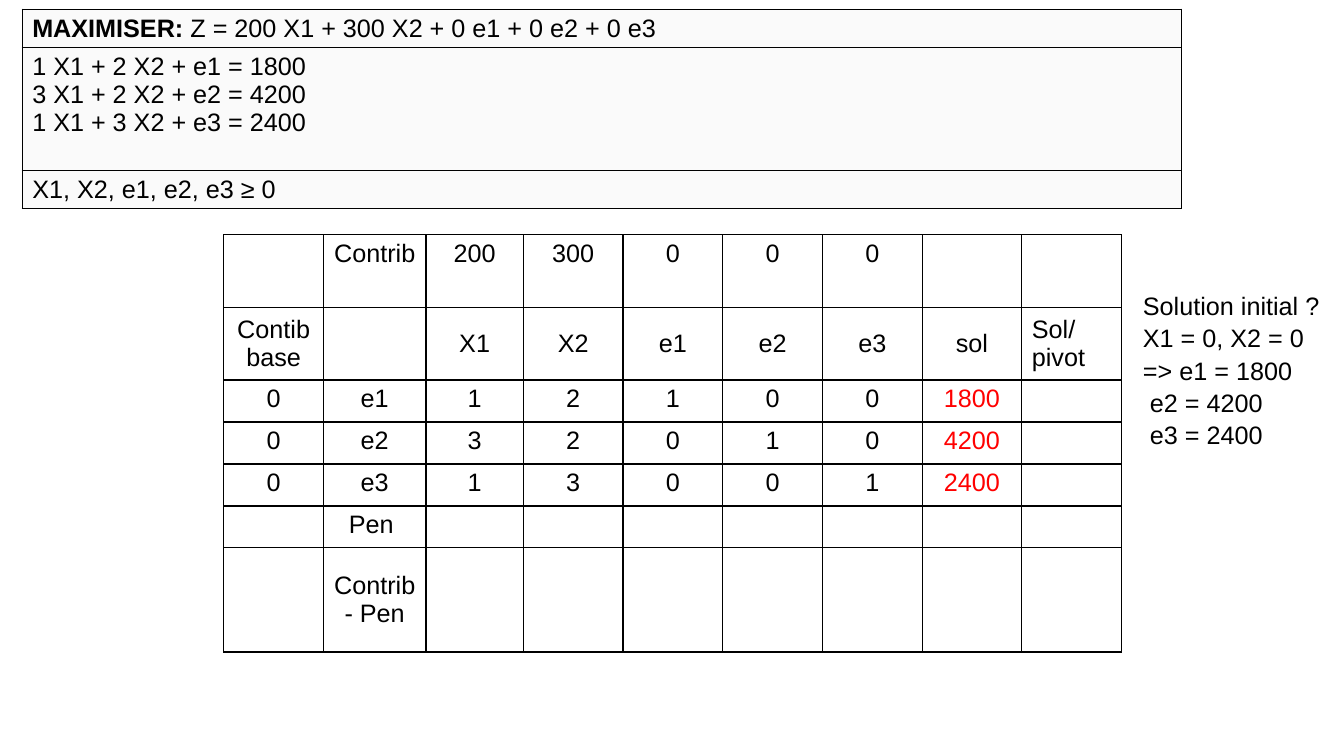
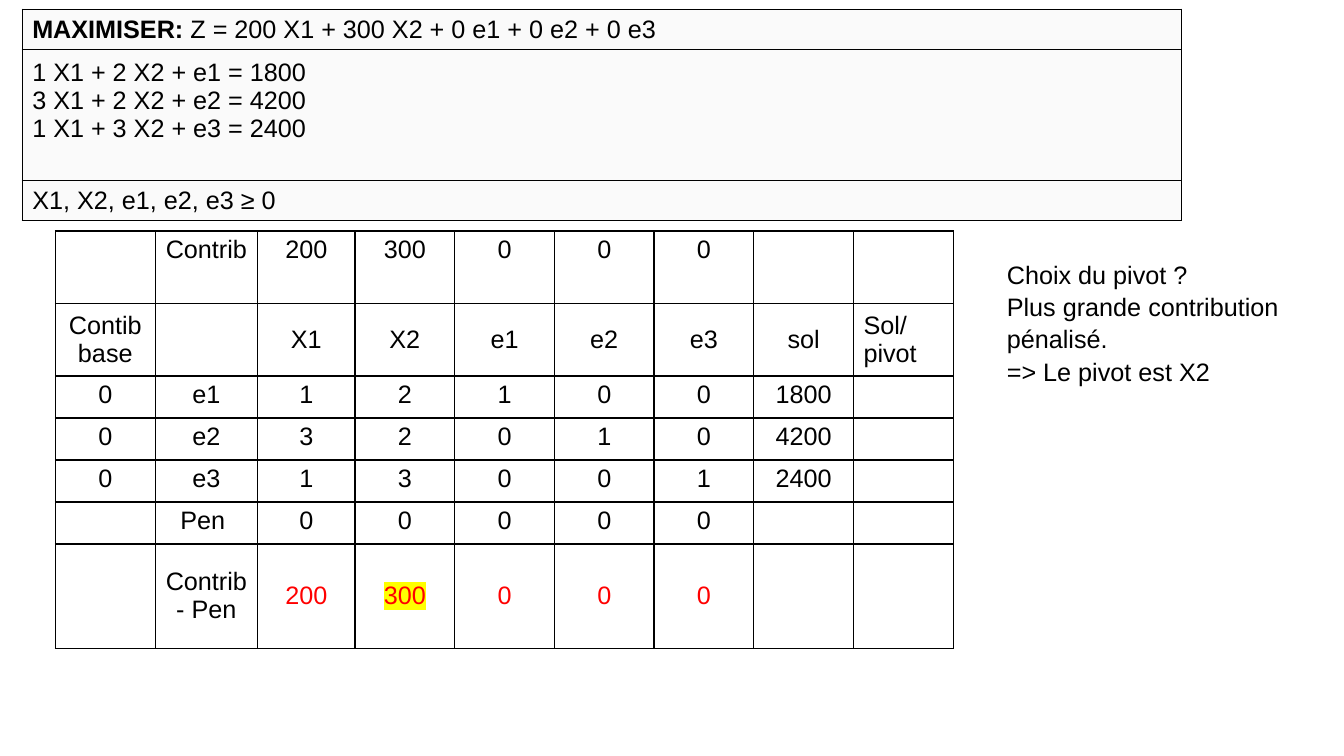
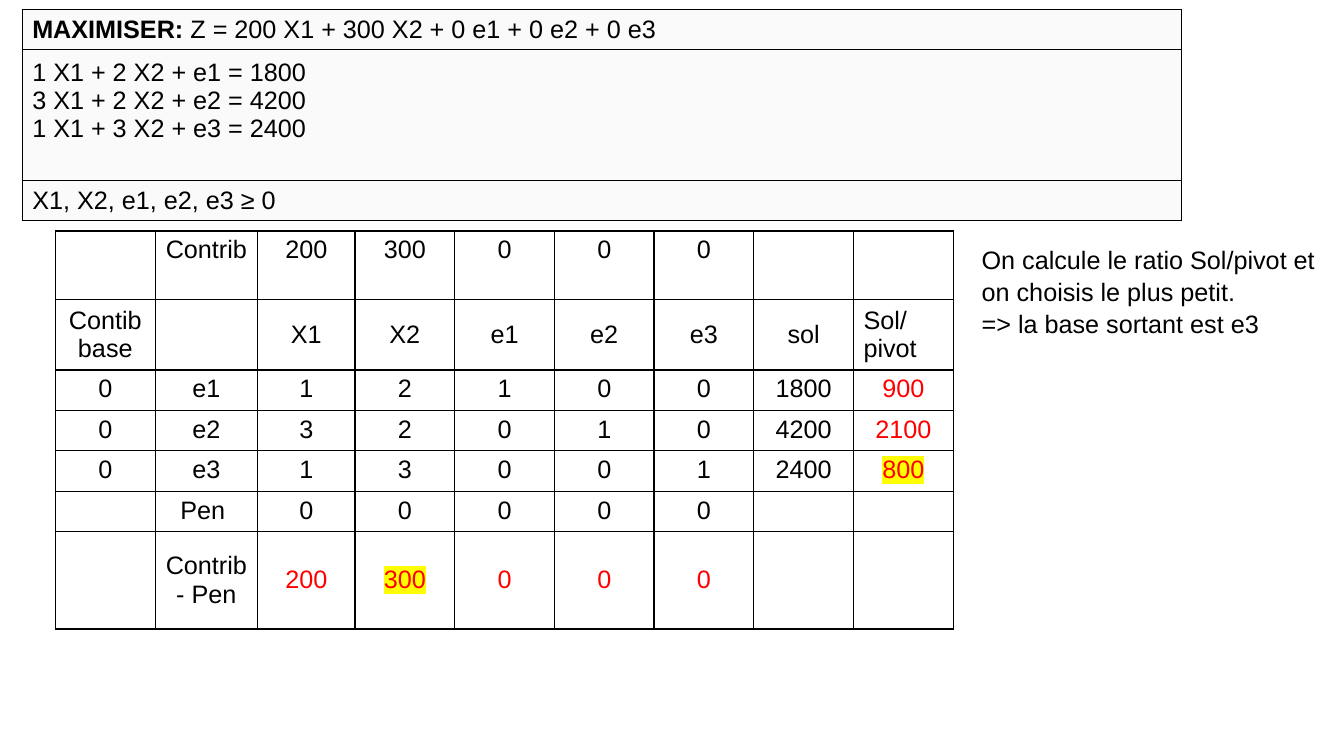
import pptx
import pptx.dml.color
import pptx.enum.text
import pptx.oxml
import pptx.oxml.ns
import pptx.util

SLIDE_COLUMNS, SLIDE_ROWS = 160, 90
UNIT = pptx.util.Inches(1) / 12
FONT, TEXT_SIZE = "Arial", 18
BLACK, RED, YELLOW, PANEL = "000000", "FF0000", "FFFF00", "FAFAFA"
CENTER = pptx.enum.text.PP_ALIGN.CENTER
MIDDLE = pptx.enum.text.MSO_ANCHOR.MIDDLE
TOP = pptx.enum.text.MSO_ANCHOR.TOP

GOAL = "Z = 200 X1 + 300 X2 + 0 e1 + 0 e2 + 0 e3"
CONSTRAINTS = [
    "1 X1 + 2 X2 + e1 = 1800",
    "3 X1 + 2 X2 + e2 = 4200",
    "1 X1 + 3 X2 + e3 = 2400",
]
SIGNS = "X1, X2, e1, e2, e3 ≥ 0"

TABLEAU = [
    ["", "Contrib", "200", "300", "0", "0", "0", "", ""],
    ["Contib base", "", "X1", "X2", "e1", "e2", "e3", "sol", "Sol/pivot"],
    ["0", "e1", "1", "2", "1", "0", "0", "1800", ""],
    ["0", "e2", "3", "2", "0", "1", "0", "4200", ""],
    ["0", "e3", "1", "3", "0", "0", "1", "2400", ""],
    ["", "Pen ", "", "", "", "", "", "", ""],
    ["", "Contrib - Pen", "", "", "", "", "", "", ""],
]
CONTRIB_ROW, HEADER_ROW, FIRST_BASE, PEN_ROW, NET_ROW = 0, 1, 2, 5, 6
FIRST_VARIABLE, SOLUTION, RATIO = 2, 7, 8
TABLEAU_WIDTHS = [11.87, 12.2, 11.6] + [11.87] * 6
TALL_ROWS = [8.64, 8.64] + [5] * 4 + [12.4]
SHORT_ROWS = [8.15, 8.4] + [4.8] * 4 + [11.6]

PENALTIES = {(PEN_ROW, FIRST_VARIABLE + i): "0" for i in range(5)}
NET_VALUES = {
    (NET_ROW, FIRST_VARIABLE + i): value
    for i, value in enumerate(["200", "300", "0", "0", "0"])
}
RATIOS = {
    (FIRST_BASE + i, RATIO): value for i, value in enumerate(["900", "2100", "800"])
}
SOLUTIONS = {(FIRST_BASE + i, SOLUTION) for i in range(3)}
PIVOT = (NET_ROW, FIRST_VARIABLE + 1)
LEAVING = (FIRST_BASE + 2, RATIO)


def units(count):
    """Turn a number of grid units into a length."""
    return pptx.util.Emu(round(count * UNIT))


def color(code):
    """Turn a hex string into a colour."""
    return pptx.dml.color.RGBColor.from_string(code)


def element(xml):
    """Build one drawing element from its markup."""
    return pptx.oxml.parse_xml(xml.replace(" ", f" {pptx.oxml.ns.nsdecls('a')} ", 1))


def write(paragraph, text, ink=BLACK, bold=False, align=None, spacing=None, mark=None):
    """Add a formatted run to a paragraph."""
    run = paragraph.add_run()
    run.text = text
    font = run.font
    font.name, font.size, font.bold = FONT, pptx.util.Pt(TEXT_SIZE), bold
    font.color.rgb = color(ink)
    if align is not None:
        paragraph.alignment = align
    if spacing is not None:
        paragraph.line_spacing = spacing
    if mark:
        fill = run._r.get_or_add_rPr().find(pptx.oxml.ns.qn("a:solidFill"))
        fill.addnext(
            element(f'<a:highlight ><a:srgbClr val="{mark}"/></a:highlight>')
        )


def write_lines(frame, lines, **style):
    """Write one paragraph for each line."""
    for index, line in enumerate(lines):
        paragraph = frame.add_paragraph() if index else frame.paragraphs[0]
        write(paragraph, line, **style)


def style_cell(cell, border, fill=None, anchor=MIDDLE):
    """Give a cell its four borders, fill and anchor."""
    cell.vertical_anchor = anchor
    properties = cell._tc.get_or_add_tcPr()
    for side in "LRTB":
        properties.append(
            element(
                f'<a:ln{side} w="{round(border * 12700)}"><a:solidFill>'
                f'<a:srgbClr val="{BLACK}"/></a:solidFill></a:ln{side}>'
            )
        )
    if fill:
        cell.fill.solid()
        cell.fill.fore_color.rgb = color(fill)
    else:
        cell.fill.background()


def add_grid(slide, left, top, widths, heights):
    """Add an unbanded table with the given columns and rows."""
    table = slide.shapes.add_table(
        len(heights), len(widths),
        units(left), units(top), units(sum(widths)), units(sum(heights)),
    ).table
    table.first_row = table.horz_banding = False
    for column, width in zip(table.columns, widths):
        column.width = units(width)
    for row, height in zip(table.rows, heights):
        row.height = units(height)
    return table


def add_program(slide, heights):
    """Place the linear program across the top of the slide."""
    table = add_grid(slide, 2.64, 1.08, [138], heights)
    goal, constraints, signs = (table.cell(row, 0) for row in range(3))
    for cell in (goal, constraints, signs):
        style_cell(cell, 0.75, PANEL)
    constraints.margin_bottom = units(3.95)
    heading = goal.text_frame.paragraphs[0]
    write(heading, "MAXIMISER: ", bold=True)
    write(heading, GOAL)
    write_lines(constraints.text_frame, CONSTRAINTS)
    write_lines(signs.text_frame, [SIGNS])


def add_tableau(slide, left, top, heights, values, red, marked):
    """Place the simplex tableau with its new values and emphasis."""
    table = add_grid(slide, left, top, TABLEAU_WIDTHS, heights)
    for row, entries in enumerate(TABLEAU):
        for column, entry in enumerate(entries):
            place = (row, column)
            text = values.get(place, entry)
            cell = table.cell(row, column)
            style_cell(
                cell, 0.96, anchor=MIDDLE if row in (HEADER_ROW, NET_ROW) else TOP
            )
            if text:
                write(
                    cell.text_frame.paragraphs[0], text,
                    ink=RED if place in red else BLACK,
                    align=None if place == (HEADER_ROW, RATIO) else CENTER,
                    mark=YELLOW if place in marked else None,
                )


def add_note(slide, left, top, width, height, lines, wrap=True):
    """Place the explanation beside the tableau."""
    frame = slide.shapes.add_textbox(
        units(left), units(top), units(width), units(height)
    ).text_frame
    frame.word_wrap = wrap
    write_lines(frame, lines, spacing=1.07)


def add_step(deck, program_rows, tableau, note):
    """Build one step of the method on a blank slide."""
    slide = deck.slides.add_slide(deck.slide_layouts[6])
    add_program(slide, program_rows)
    add_tableau(slide, **tableau)
    add_note(slide, **note)


def main():
    """Build the three steps and save them."""
    deck = pptx.Presentation()
    deck.slide_width, deck.slide_height = units(SLIDE_COLUMNS), units(SLIDE_ROWS)
    add_step(
        deck, [4.5, 14.6, 4.5],
        dict(left=26.64, top=27.96, heights=TALL_ROWS,
             values={}, red=SOLUTIONS, marked=set()),
        dict(left=134.88, top=33.72, width=24.24, height=18, wrap=False,
             lines=["Solution initial ?", "X1 = 0, X2 = 0", "=> e1 = 1800",
                    " e2 = 4200", " e3 = 2400"]),
    )
    net = PENALTIES | NET_VALUES
    add_step(
        deck, [4.75, 15.6, 4.75],
        dict(left=6.6, top=27.5, heights=TALL_ROWS,
             values=net, red=set(NET_VALUES), marked={PIVOT}),
        dict(left=118.68, top=30, width=37.32, height=34.8,
             lines=["Choix du pivot ?", "Plus grande contribution pénalisé.",
                    "=> Le pivot est X2"]),
    )
    add_step(
        deck, [4.75, 15.6, 4.75],
        dict(left=6.6, top=27.5, heights=SHORT_ROWS,
             values=net | RATIOS, red=set(NET_VALUES | RATIOS),
             marked={PIVOT, LEAVING}),
        dict(left=115.68, top=28.2, width=43.32, height=43.8,
             lines=["On calcule le ratio Sol/pivot et on choisis le plus petit.",
                    "=> la base sortant est e3"]),
    )
    deck.save("out.pptx")


if __name__ == "__main__":
    main()
